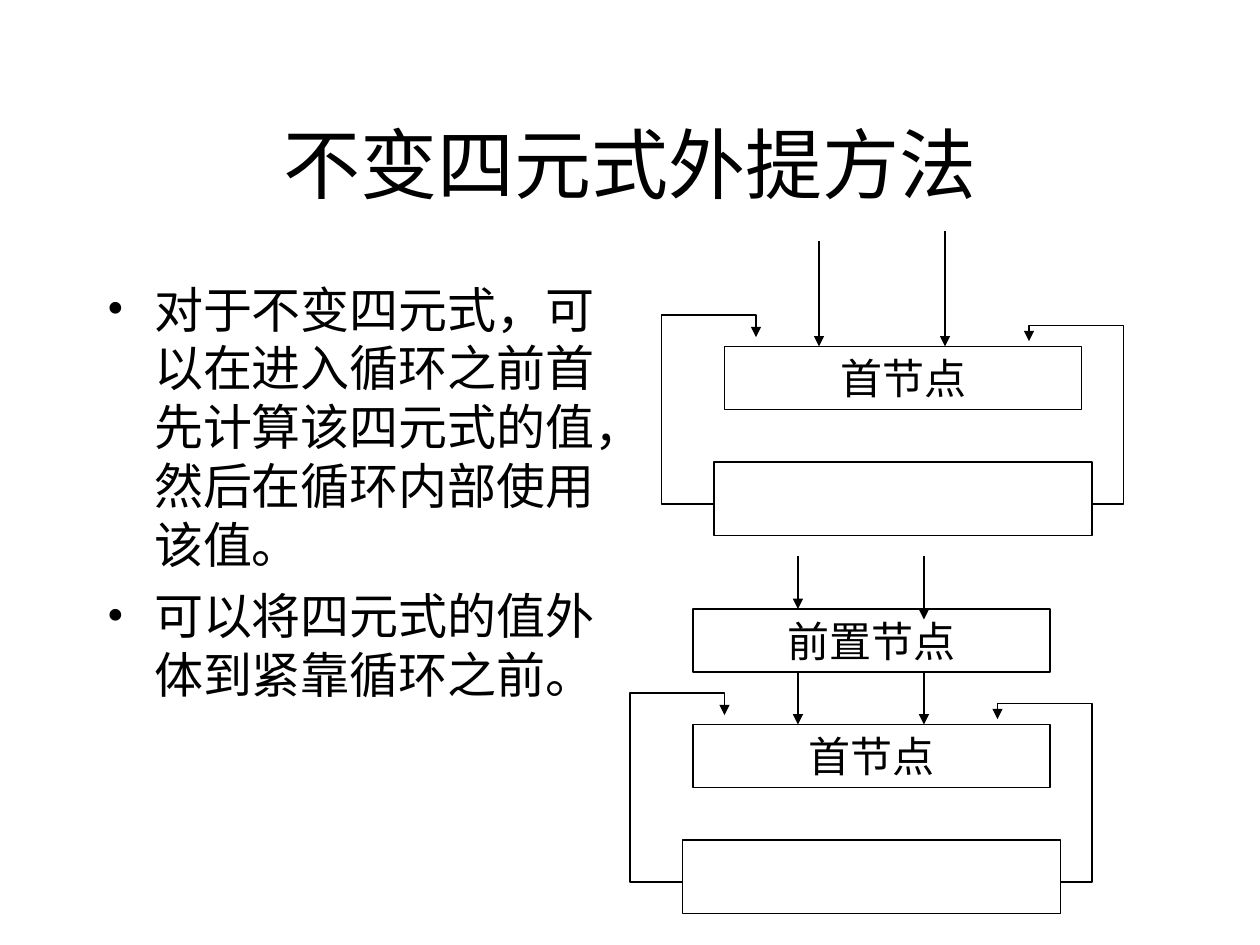
from pptx import Presentation
from pptx.dml.color import RGBColor
from pptx.enum.shapes import MSO_CONNECTOR, MSO_SHAPE
from pptx.enum.text import MSO_ANCHOR, PP_ALIGN
from pptx.oxml.ns import qn
from pptx.util import Pt
from lxml.etree import SubElement

PX = 9525
FONT = "Times New Roman"
COLORS = {"ink": "000000", "paper": "FFFFFF"}
TITLE = "不变四元式外提方法"
POINTS = [
    "对于不变四元式，可以在进入循环之前首先计算该四元式的值，然后在循环内部使用该值。",
    "可以将四元式的值外体到紧靠循环之前。",
]


def color(name):
    return RGBColor.from_string(COLORS[name])


def scaled(*lengths):
    return [length * PX for length in lengths]


def style_text(para, size, align):
    para.alignment = align
    para.font.size = Pt(size)
    para.font.name = FONT
    para.font.color.rgb = color("ink")


def style_line(line):
    line.color.rgb = color("ink")
    line.width = Pt(0.75)


def add_arrowhead(line):
    outline = line._get_or_add_ln()
    SubElement(outline, qn("a:tailEnd"), type="triangle")


def add_title(page, left, top, width, height):
    title = page.shapes.title
    title.left, title.top, title.width, title.height = scaled(left, top, width, height)
    frame = title.text_frame
    frame.text = TITLE
    frame.vertical_anchor = MSO_ANCHOR.MIDDLE
    style_text(frame.paragraphs[0], 44, PP_ALIGN.CENTER)


def add_points(page, left, top, width, height):
    frame = page.shapes.add_textbox(*scaled(left, top, width, height)).text_frame
    frame.word_wrap = True
    for index, text in enumerate(POINTS):
        para = frame.add_paragraph() if index else frame.paragraphs[0]
        para.text = text
        properties = para._p.get_or_add_pPr()
        properties.set("marL", str(36 * PX))
        properties.set("indent", str(-36 * PX))
        SubElement(properties, qn("a:buFont"), typeface=FONT)
        SubElement(properties, qn("a:buChar"), char="•")
        if index:
            para.space_before = Pt(7)
        style_text(para, 28, PP_ALIGN.LEFT)


def add_node(page, left, top, width, height, text=""):
    node = page.shapes.add_shape(MSO_SHAPE.RECTANGLE, *scaled(left, top, width, height))
    node.shadow.inherit = False
    style_line(node.line)
    if not text:
        node.fill.solid()
        node.fill.fore_color.rgb = color("paper")
        return
    node.fill.background()
    frame = node.text_frame
    frame.word_wrap = True
    frame.vertical_anchor = MSO_ANCHOR.TOP
    frame.text = text
    style_text(frame.paragraphs[0], 24, PP_ALIGN.CENTER)


def add_down_arrow(page, x, top, bottom):
    arrow = page.shapes.add_connector(MSO_CONNECTOR.STRAIGHT, *scaled(x, top, x, bottom))
    style_line(arrow.line)
    add_arrowhead(arrow.line)
    SubElement(arrow._element.spPr, qn("a:effectLst"))


def add_back_edge(page, left, top, points):
    (start_x, start_y), *rest = [(left + x, top + y) for x, y in points]
    builder = page.shapes.build_freeform(start_x, start_y, scale=PX)
    builder.add_line_segments(rest, close=False)
    edge = builder.convert_to_shape()
    edge.shadow.inherit = False
    edge.fill.background()
    style_line(edge.line)
    add_arrowhead(edge.line)


def add_loop(page, left, top):
    add_node(page, left + 48, top + 24, 272, 48, "首节点")
    add_node(page, left + 40, top + 112, 288, 56)
    add_back_edge(page, left, top, [(40, 144), (0, 144), (0, 0), (72, 0), (72, 17)])
    add_back_edge(page, left, top, [(328, 144), (352, 144), (352, 8), (280, 8), (280, 20)])


def add_loop_before(page, left, top):
    add_loop(page, left, top)
    add_down_arrow(page, left + 120, top - 56, top + 24)
    add_down_arrow(page, left + 216, top - 64, top + 24)


def add_loop_after(page, left, top):
    add_loop(page, left, top)
    add_node(page, left + 48, top - 64, 272, 48, "前置节点")
    for x, entry_end in ((left + 128, top - 64), (left + 224, top - 56)):
        add_down_arrow(page, x, top - 104, entry_end)
        add_down_arrow(page, x, top - 16, top + 24)


def main():
    deck = Presentation()
    deck.slide_width, deck.slide_height = scaled(960, 720)
    page = deck.slides.add_slide(deck.slide_layouts[5])
    add_title(page, 72, 64, 816, 120)
    add_points(page, 72, 208, 392, 432)
    add_loop_before(page, 504, 240)
    add_loop_after(page, 480, 528)
    deck.save("out.pptx")


if __name__ == "__main__":
    main()
